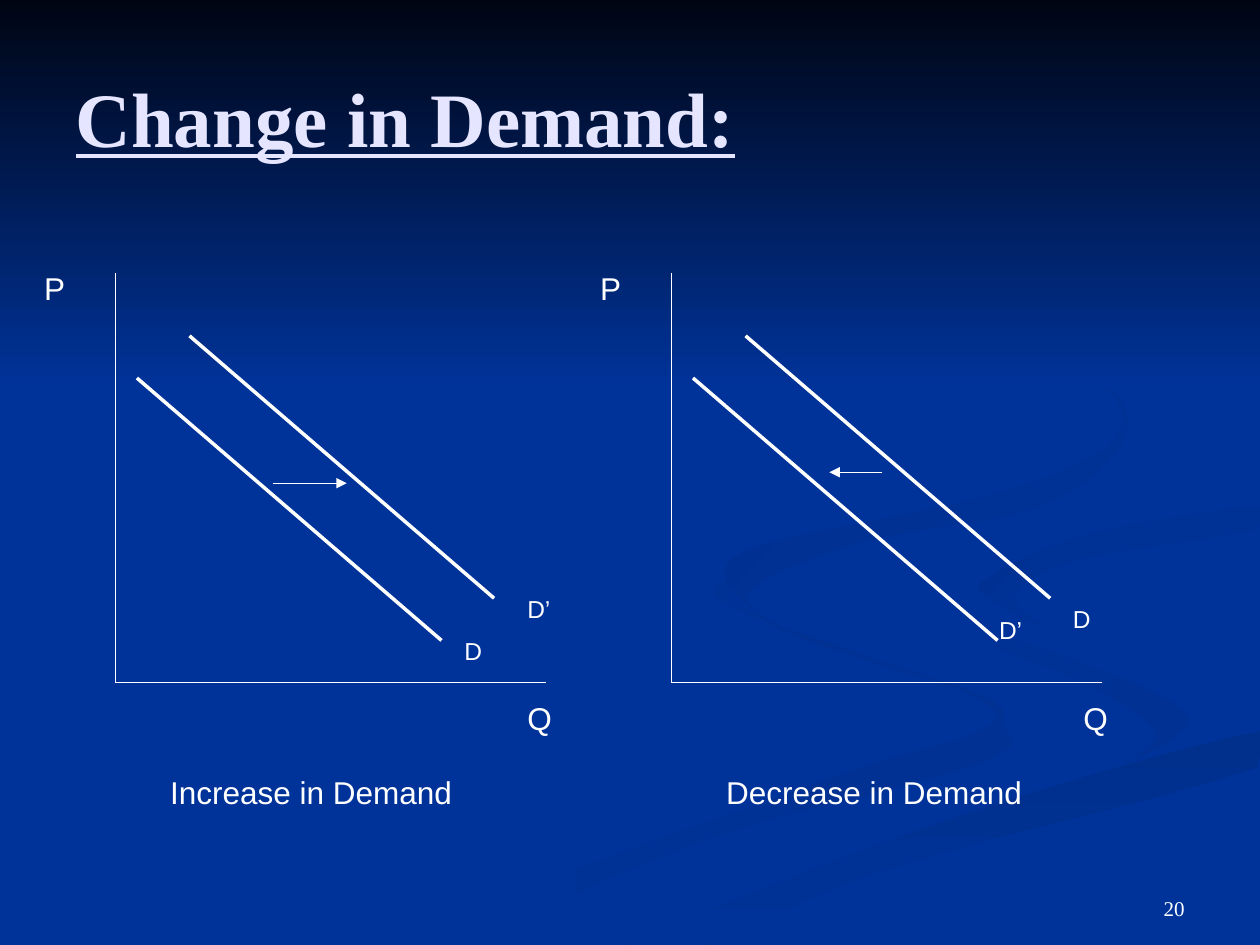
from lxml import etree
from pptx import Presentation
from pptx.dml.color import RGBColor
from pptx.enum.shapes import MSO_CONNECTOR, MSO_SHAPE
from pptx.enum.text import MSO_ANCHOR, PP_ALIGN
from pptx.oxml.ns import qn
from pptx.util import Cm, Pt

WHITE = RGBColor(0xFF, 0xFF, 0xFF)
LAVENDER = RGBColor(0xE5, 0xE5, 0xFF)
BLUE = RGBColor(0x00, 0x33, 0x99)
MIDNIGHT = RGBColor(0x00, 0x05, 0x14)
SHADE_SOFT = RGBColor(0x00, 0x31, 0x93)
SHADE_LIGHT = RGBColor(0x00, 0x30, 0x91)
SHADE_DARK = RGBColor(0x00, 0x2F, 0x8E)
SHADE_DEEP = RGBColor(0x00, 0x2F, 0x8C)

SLIDE_WIDTH, SLIDE_HEIGHT = Cm(25.4), Cm(19.05)
GRID_WIDTH, GRID_HEIGHT = 1000, 750
GRID = SLIDE_WIDTH / GRID_WIDTH
CURVE_STEPS = 6

# Each ribbon: first colour, last colour, clockwise gradient angle, outline
RIBBONS = [
    (BLUE, SHADE_SOFT, 0, [
        (781, 553), (682, 519), (594, 485), (575, 459), (572, 476), (654, 513),
        (770, 551), (780, 579), (652, 620), (300, 749), (361, 749), (564, 665),
        (780, 605), (797, 575)]),
    (BLUE, SHADE_SOFT, 45, [
        (943, 570), (870, 530), (733, 483), (724, 464), (739, 494), (854, 539),
        (917, 580), (894, 605)]),
    (SHADE_DEEP, BLUE, 90, [
        (503, 749), (571, 749), (695, 692), (998, 609), (998, 581), (764, 647)]),
    (SHADE_LIGHT, BLUE, 45, [
        (781, 460), (791, 478), (826, 496), (805, 472), (859, 443), (998, 420),
        (998, 402), (865, 424)]),
    (SHADE_DARK, BLUE, 45, [
        (683, 430), (825, 402), (894, 344), (864, 291), (780, 241), (870, 299),
        (886, 348), (791, 392), (605, 433), (577, 462), (622, 500), (593, 470)]),
]


def smooth_outline(points):
    """Return a closed Catmull-Rom curve through the points, kept on the slide."""
    def blend(a, b, c, d, t):
        return (2 * b + (c - a) * t + (2 * a - 5 * b + 4 * c - d) * t ** 2
                + (3 * b - a - 3 * c + d) * t ** 3) / 2

    curve = []
    for index in range(len(points)):
        corners = [points[(index + k) % len(points)] for k in (-1, 0, 1, 2)]
        for step in range(CURVE_STEPS):
            x, y = (blend(*axis, step / CURVE_STEPS) for axis in zip(*corners))
            curve.append((min(x, GRID_WIDTH), min(y, GRID_HEIGHT)))
    return curve


def fill_gradient(shape, first, last, clockwise_angle):
    fill = shape.fill
    fill.gradient()
    fill.gradient_angle = (360 - clockwise_angle) % 360
    for stop, color in zip(fill.gradient_stops, (first, last)):
        stop.color.rgb = color
    shape.line.fill.background()
    shape.shadow.inherit = False


def add_backdrop(slide, left, top, width, height):
    background = slide.background.fill
    background.solid()
    background.fore_color.rgb = BLUE
    for first, last, angle, points in RIBBONS:
        curve = smooth_outline(points)
        builder = slide.shapes.build_freeform(*curve[0], scale=GRID)
        builder.add_line_segments(curve[1:])
        fill_gradient(builder.convert_to_shape(left, top), first, last, angle)
    band = slide.shapes.add_shape(MSO_SHAPE.RECTANGLE, left, top, width, height)
    fill_gradient(band, MIDNIGHT, BLUE, 90)


def add_title(slide, left, top, width, height):
    title = slide.shapes.title
    slide.shapes._spTree.append(title._element)  # in front of the backdrop
    title.left, title.top, title.width, title.height = left, top, width, height
    title.text_frame.text = "Change in Demand:"
    title.text_frame.vertical_anchor = MSO_ANCHOR.MIDDLE
    paragraph = title.text_frame.paragraphs[0]
    paragraph.alignment = PP_ALIGN.LEFT
    font = paragraph.runs[0].font
    font.name, font.size, font.color.rgb = "Times New Roman", Pt(44), LAVENDER
    font.bold = font.underline = True


def add_label(slide, text, left, top, width, height, size, font_name="Arial"):
    label = slide.shapes.add_textbox(left, top, width, height)
    label.text_frame.word_wrap = True
    label.text_frame.text = text
    font = label.text_frame.paragraphs[0].runs[0].font
    font.name, font.size, font.color.rgb = font_name, Pt(size), WHITE
    return label


def add_line(slide, start, end, weight=0.75, arrow=False):
    line = slide.shapes.add_connector(MSO_CONNECTOR.STRAIGHT, *start, *end)
    line.line.color.rgb = WHITE
    line.line.width = Pt(weight)
    properties = line._element.spPr
    etree.SubElement(properties, qn("a:effectLst"))
    if arrow:
        outline = properties.find(qn("a:ln"))
        etree.SubElement(outline, qn("a:tailEnd"), type="triangle")


def add_demand_graph(slide, left, top, caption, curve_labels, arrow):
    """Draw axes, two demand curves, their labels and the arrow of the shift."""
    def at(x, y):
        return left + Cm(x), top + Cm(y)

    origin = at(1.69, 8.47)
    add_line(slide, at(1.69, 0.21), origin)
    add_line(slide, origin, at(10.37, 8.47))
    for x, y in ((2.12, 2.33), (3.18, 1.48)):
        add_line(slide, at(x, y), at(x + 6.14, y + 5.29), weight=2)
    start_x, end_x, arrow_y = arrow
    add_line(slide, at(start_x, arrow_y), at(end_x, arrow_y), arrow=True)

    add_label(slide, "P", *at(0, 0), Cm(0.85), Cm(1.02), 18)
    add_label(slide, "Q", *at(9.74, 8.68), Cm(1.27), Cm(1.02), 18)
    for text, x, y in curve_labels:
        add_label(slide, text, *at(x, y), Cm(1.27), Cm(0.85), 14)
    add_label(slide, caption, *at(2.54, 10.16), Cm(6.56), Cm(1.02), 18)


def add_slide_number(slide, left, top, width, height):
    number = add_label(slide, "20", left, top, width, height, 12, "Times New Roman")
    number.text_frame.vertical_anchor = MSO_ANCHOR.BOTTOM
    number.text_frame.paragraphs[0].alignment = PP_ALIGN.RIGHT


def main():
    presentation = Presentation()
    presentation.slide_width, presentation.slide_height = SLIDE_WIDTH, SLIDE_HEIGHT
    slide = presentation.slides.add_slide(presentation.slide_layouts[5])

    add_backdrop(slide, 0, 0, SLIDE_WIDTH, Cm(7.82))
    add_title(slide, Cm(1.27), Cm(0.76), Cm(22.86), Cm(3.18))
    add_demand_graph(slide, Cm(0.64), Cm(5.29), "Increase in Demand",
                     [("D", 8.47, 7.41), ("D’", 9.74, 6.56)], (4.87, 6.35, 4.45))
    add_demand_graph(slide, Cm(11.85), Cm(5.29), "Decrease in Demand",
                     [("D", 9.53, 6.77), ("D’", 8.04, 6.99)], (5.93, 4.87, 4.23))
    add_slide_number(slide, Cm(18.2), Cm(17.36), Cm(5.93), Cm(1.32))

    presentation.save("out.pptx")


if __name__ == "__main__":
    main()
